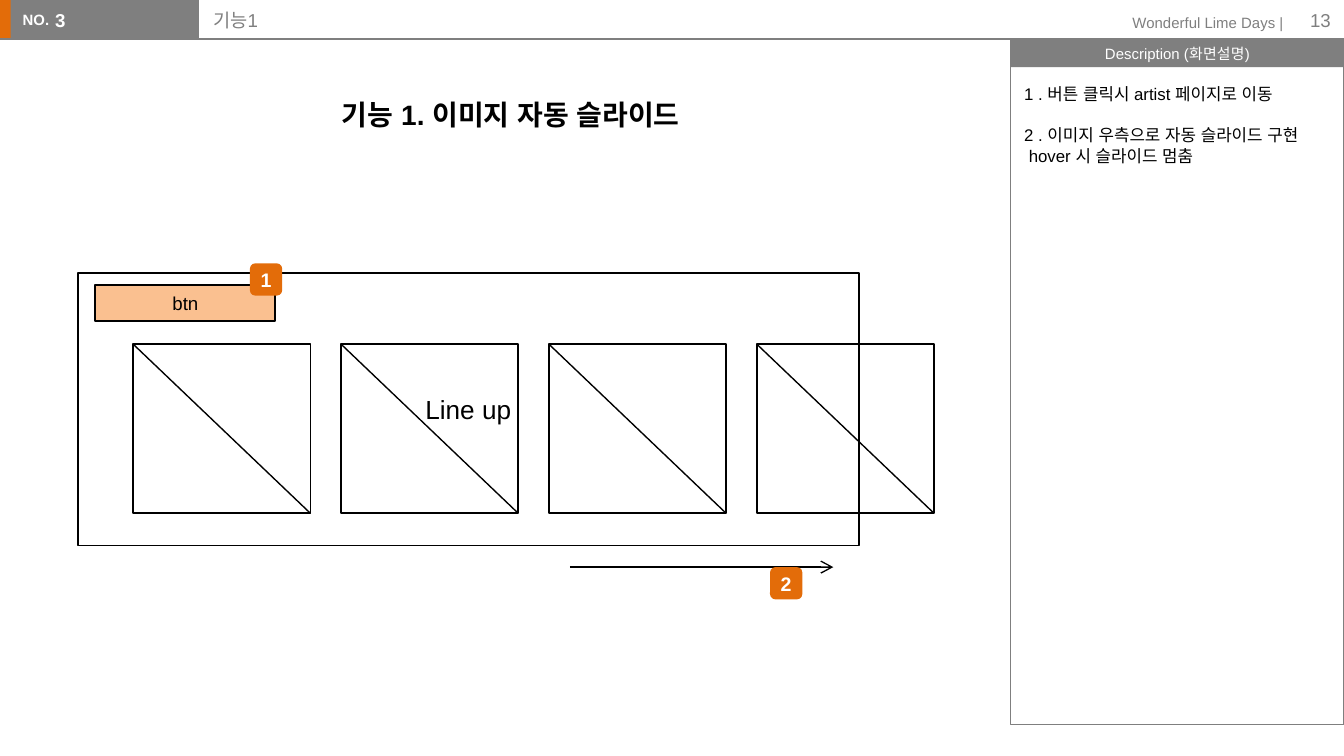
from dataclasses import dataclass

from lxml import etree
from pptx import Presentation, util as u
from pptx.dml.color import RGBColor
from pptx.enum import shapes, text
from pptx.oxml.ns import qn


@dataclass(frozen=True)
class Theme:
    font: str = "Arial"
    grey: str = "7F7F7F"
    orange: str = "E36C09"
    peach: str = "FAC090"
    black: str = "000000"
    white: str = "FFFFFF"
    small: float = 8
    note: float = 9
    normal: float = 10
    marker: float = 10.5
    label: float = 14
    heading: float = 15
    thin: float = 0.75
    thick: float = 1


T = Theme()
LEFT, CENTER, RIGHT = text.PP_ALIGN.LEFT, text.PP_ALIGN.CENTER, text.PP_ALIGN.RIGHT
TOP, MIDDLE = text.MSO_ANCHOR.TOP, text.MSO_ANCHOR.MIDDLE
RECT, ROUNDED = shapes.MSO_SHAPE.RECTANGLE, shapes.MSO_SHAPE.ROUNDED_RECTANGLE

# Content
PAGE_TITLE = "기능1"
SCREEN_NO = "3"
PROJECT = "Wonderful Lime Days |"
PAGE_NO = "13"
HEADING = "기능 1. 이미지 자동 슬라이드"
DESCRIPTION_TITLE = "Description (화면설명)"
DESCRIPTION = [
    ["1 . 버튼 클릭시 artist 페이지로 이동"],
    ["2 . 이미지 우측으로 자동 슬라이드 구현", " hover 시 슬라이드 멈춤"],
]
MARKERS = [("1", 1.86, 1.96), ("2", 5.73, 4.22)]

# Layout, in inches
WIDTH = 10
HEIGHT = WIDTH * 9 / 16
BAR = 0.29
PANEL_X, PANEL_W, PANEL_H, PANEL_HEAD = 7.52, 2.48, 5.1, 0.21
FRAME = (0.58, 2.03, 5.81, 2.03)
TILE_X, LAST_TILE_X, TILE_Y, TILE_W, TILE_H = 0.99, 5.63, 2.56, 1.32, 1.26
TILE_COUNT = 4
TILE_STEP = (LAST_TILE_X - TILE_X) / (TILE_COUNT - 1)
MARKER_SIZE = 0.24
ITEM_GAP = 11.5  # points


def inches(*lengths):
    return [u.Inches(length) for length in lengths]


def write(part, lines, size=T.normal, color=T.black, bold=False, align=LEFT,
          anchor=MIDDLE, insets=(0.1, 0.05, 0.1, 0.05), before=0, spacing=1):
    """Fill a part with paragraphs; before is one gap for all or one per line."""
    lines = [lines] if isinstance(lines, str) else lines
    gaps = before if isinstance(before, list) else [before] * len(lines)
    frame = part.text_frame
    frame.word_wrap = True
    frame.auto_size = text.MSO_AUTO_SIZE.NONE
    frame.vertical_anchor = anchor
    (frame.margin_left, frame.margin_top,
     frame.margin_right, frame.margin_bottom) = inches(*insets)
    for i, (line, gap) in enumerate(zip(lines, gaps)):
        paragraph = frame.add_paragraph() if i else frame.paragraphs[0]
        paragraph.alignment = align
        paragraph.space_before = u.Pt(gap)
        paragraph.line_spacing = spacing
        run = paragraph.add_run()
        run.text = line
        run.font.name, run.font.size, run.font.bold = T.font, u.Pt(size), bold
        run.font.color.rgb = RGBColor.from_string(color)
        etree.SubElement(run._r.get_or_add_rPr(), qn("a:ea"), typeface=T.font)
    return part


def add_box(slide, box, fill=None, line=None, weight=T.thick, kind=RECT):
    part = slide.shapes.add_shape(kind, *inches(*box))
    part.shadow.inherit = False
    if fill:
        part.fill.solid()
        part.fill.fore_color.rgb = RGBColor.from_string(fill)
    else:
        part.fill.background()
    if line:
        part.line.color.rgb = RGBColor.from_string(line)
        part.line.width = u.Pt(weight)
    else:
        part.line.fill.background()
    return part


def add_label(slide, box, words, **style):
    return write(slide.shapes.add_textbox(*inches(*box)), words, **style)


def add_line(slide, start, end, color=T.black, arrow=False):
    line = slide.shapes.add_connector(
        shapes.MSO_CONNECTOR.STRAIGHT, *inches(*start, *end))
    line.line.color.rgb = RGBColor.from_string(color)
    line.line.width = u.Pt(T.thin)
    if arrow:
        etree.SubElement(line.line._get_or_add_ln(), qn("a:tailEnd"), type="arrow")
    etree.SubElement(line._element.spPr, qn("a:effectLst"))


def fill_placeholder(part, box, words, **style):
    part.left, part.top, part.width, part.height = inches(*box)
    write(part, words, insets=(0.1,) * 4, **style)
    for paragraph in part.text_frame.paragraphs:
        props = paragraph._p.get_or_add_pPr()
        props.set("marL", "0")
        props.set("indent", "0")
        etree.SubElement(props, qn("a:buNone"))


def draw_header(slide):
    add_box(slide, (-0.01, 0, 0.12, BAR), fill=T.orange)
    add_box(slide, (0.08, 0, 1.4, BAR), fill=T.grey)
    add_label(slide, (0.07, 0.03, 0.41, 0.24), "NO.", size=T.small,
              color=T.white, bold=True, anchor=TOP)
    add_line(slide, (0, BAR), (7.66, BAR), color=T.grey)
    add_label(slide, (8.13, 0.05, 1.52, 0.24), PROJECT, size=T.small,
              color=T.grey, align=RIGHT, anchor=TOP)
    add_label(slide, (9.4, 0, 0.6, 0.3), PAGE_NO, color=T.grey, align=RIGHT)


def draw_panel(slide):
    head = add_box(slide, (PANEL_X, BAR, PANEL_W, PANEL_HEAD), fill=T.grey)
    write(head, DESCRIPTION_TITLE, size=T.small, color=T.white, align=CENTER,
          insets=(0.09, 0.04, 0.09, 0.04))
    add_box(slide, (PANEL_X, BAR, PANEL_W, PANEL_H), line=T.grey, weight=T.thin)


def fill_texts(slide):
    title, number, description = slide.placeholders
    fill_placeholder(title, (1.49, 0, 5.61, 0.3), PAGE_TITLE, color=T.grey)
    fill_placeholder(number, (0.31, 0, 1.1, 0.3), SCREEN_NO, color=T.white,
                     bold=True, before=2)
    lines = [line for item in DESCRIPTION for line in item]
    gaps = [ITEM_GAP if n and not i else 0
            for n, item in enumerate(DESCRIPTION) for i in range(len(item))]
    fill_placeholder(description, (PANEL_X, 0.52, PANEL_W, 4.86), lines,
                     size=T.note, anchor=TOP, before=gaps)
    add_label(slide, (0, 0.52, PANEL_X, 0.53), HEADING, size=T.heading, bold=True,
              align=CENTER, insets=(0.18, 0.05, 0.1, 0.05), before=2.4, spacing=1.5)


def draw_wireframe(slide):
    write(add_box(slide, FRAME, line=T.black), "Line up", size=T.label, align=CENTER)
    for i in range(TILE_COUNT):
        x = TILE_X + i * TILE_STEP
        add_box(slide, (x, TILE_Y, TILE_W, TILE_H), line=T.black)
        add_line(slide, (x, TILE_Y), (x + TILE_W, TILE_Y + TILE_H))
    button = add_box(slide, (0.71, 2.12, 1.34, 0.27), fill=T.peach, line=T.black)
    write(button, "btn", align=CENTER)
    add_line(slide, (4.24, 4.22), (6.2, 4.22), arrow=True)
    for number, x, y in MARKERS:
        marker = add_box(slide, (x, y, MARKER_SIZE, MARKER_SIZE),
                         fill=T.orange, kind=ROUNDED)
        write(marker, number, size=T.marker, color=T.white, bold=True,
              align=CENTER, insets=(0, 0.05, 0, 0.05))


def main():
    deck = Presentation()
    deck.slide_width, deck.slide_height = inches(WIDTH, HEIGHT)
    two_content = deck.slide_layouts[3]
    slide = deck.slides.add_slide(two_content)
    draw_header(slide)
    draw_panel(slide)
    fill_texts(slide)
    draw_wireframe(slide)
    # Placeholders come first in the tree, so raise them above the header bars.
    for part in list(slide.placeholders):
        slide.shapes._spTree.append(part._element)
    deck.save("out.pptx")


if __name__ == "__main__":
    main()
